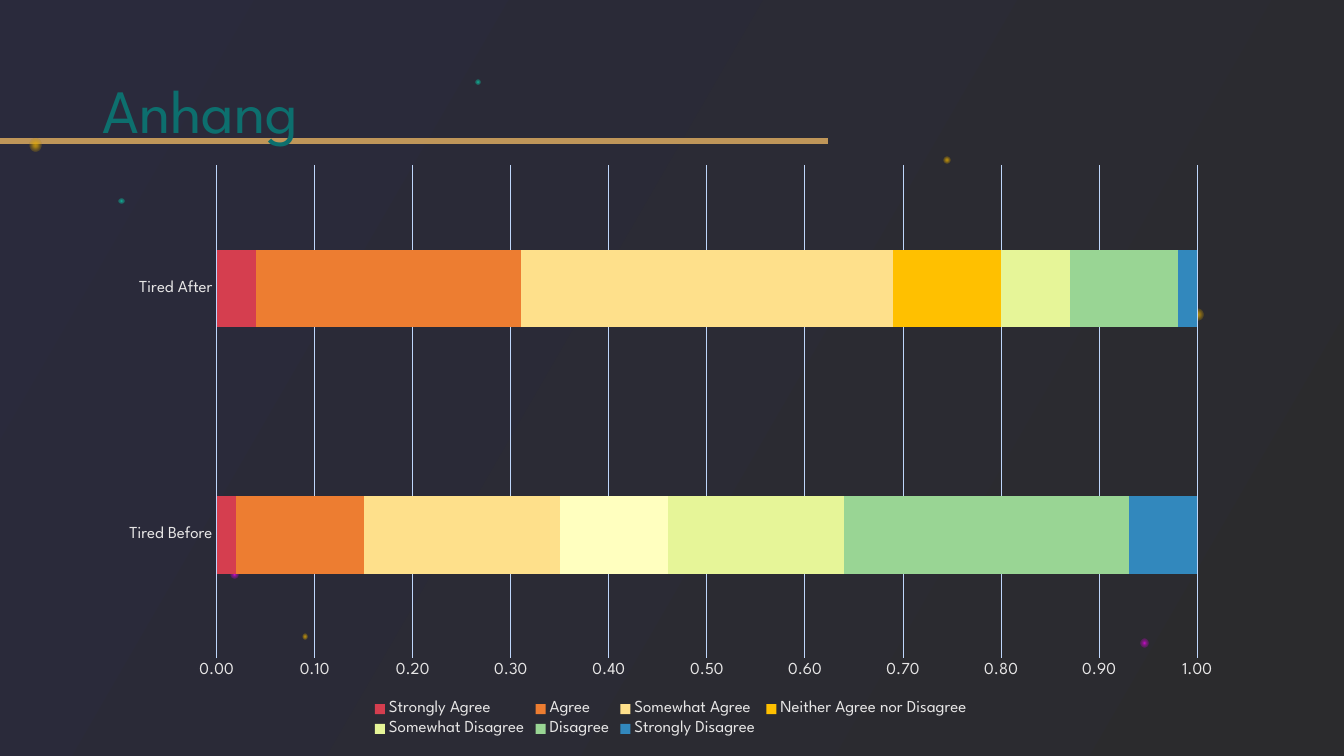
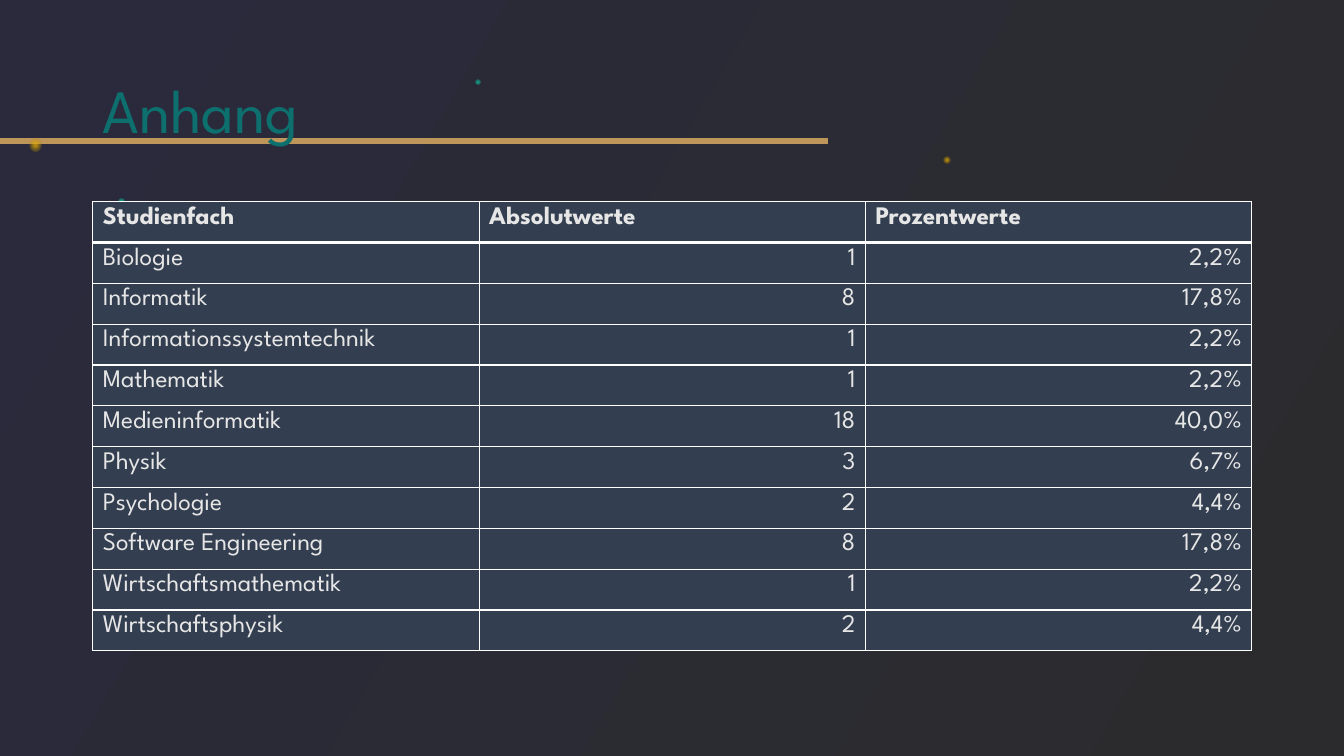
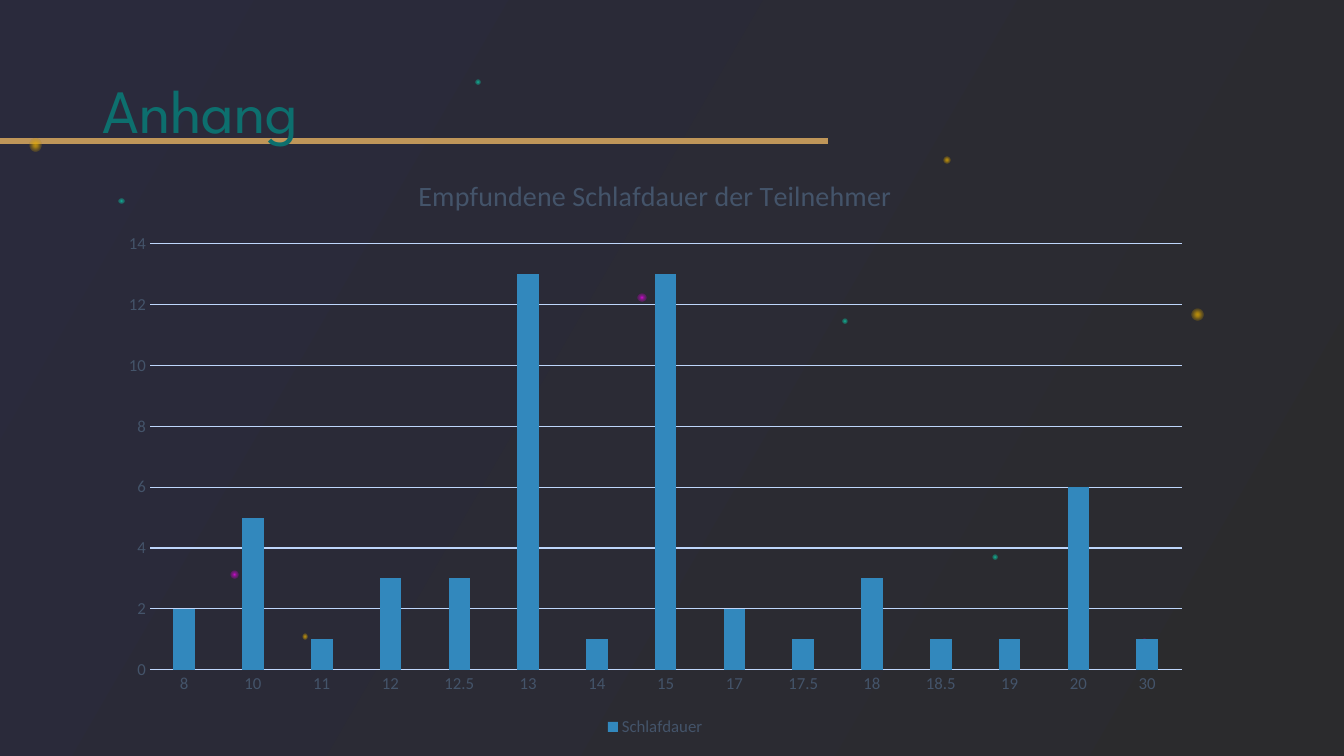
from lxml import etree
from pptx import Presentation
from pptx import util as u
from pptx.chart.data import CategoryChartData
from pptx.dml.color import RGBColor
from pptx.enum import chart as ch, shapes, text
from pptx.oxml import parse_xml
from pptx.oxml.ns import nsdecls, qn

PX = 9144
FONT, PLAIN = "League Spartan", "Calibri"
NIGHT = RGBColor(0x2A, 0x2A, 0x3C)
COAL = RGBColor(0x2B, 0x2B, 0x2D)
GOLD = RGBColor(0xBF, 0x96, 0x59)
TEAL = RGBColor(0x0D, 0x6F, 0x6E)
PALE = RGBColor(0xE7, 0xE6, 0xE6)
SLATE = RGBColor(0x44, 0x54, 0x6A)
NAVY = RGBColor(0x33, 0x3F, 0x50)
SKY = RGBColor(0xBE, 0xD6, 0xFB)
WHITE = RGBColor(0xFF, 0xFF, 0xFF)
RED = RGBColor(0xD5, 0x3E, 0x4F)
ORANGE = RGBColor(0xED, 0x7D, 0x31)
SAND = RGBColor(0xFE, 0xE0, 0x8B)
AMBER = RGBColor(0xFF, 0xC0, 0x00)
CREAM = RGBColor(0xFF, 0xFF, 0xBF)
LIME = RGBColor(0xE6, 0xF5, 0x98)
GREEN = RGBColor(0x99, 0xD5, 0x94)
BLUE = RGBColor(0x32, 0x88, 0xBD)

TITLE = "Anhang"
AMBER_GLOW = [(0, "E3AB00", 79), (23, "E3AB00", 64), (69, "BF9000", 19), (100, "B28600", 0)]
PINK_GLOW = [(0, "FF00FF", 83), (23, "FF00FF", 46), (69, "D100D1", 20), (100, "940094", 0)]
MINT_GLOW = [(0, "00FFCC", 77), (23, "00FFCC", 44), (70, "00FFCC", 19), (100, "00FFCC", 0)]
DOTS = [
    (AMBER_GLOW, [(29, 138, 12), (1182, 306, 12), (300, 629, 5), (936, 155, 7)]),
    (PINK_GLOW, [(633, 291, 8), (1131, 634, 8), (229, 566, 8)]),
    (MINT_GLOW, [(985, 550, 5), (836, 316, 5), (118, 197, 5), (472, 79, 5)]),
]

TIRED = ["Tired Before", "Tired After"]
MOODS = [
    ("Strongly Agree", [0.02, 0.04], RED),
    ("Agree", [0.13, 0.27], ORANGE),
    ("Somewhat Agree", [0.2, 0.38], SAND),
    ("Neither Agree nor Disagree", [0.11, 0.11], AMBER),
    ("Somewhat Disagree", [0.18, 0.07], LIME),
    ("Disagree", [0.29, 0.11], GREEN),
    ("Strongly Disagree", [0.07, 0.02], BLUE),
]
FIELDS = [
    ("Studienfach", "Absolutwerte", "Prozentwerte"),
    ("Biologie", "1", "2,2%"),
    ("Informatik", "8", "17,8%"),
    ("Informationssystemtechnik", "1", "2,2%"),
    ("Mathematik", "1", "2,2%"),
    ("Medieninformatik", "18", "40,0%"),
    ("Physik", "3", "6,7%"),
    ("Psychologie", "2", "4,4%"),
    ("Software Engineering", "8", "17,8%"),
    ("Wirtschaftsmathematik", "1", "2,2%"),
    ("Wirtschaftsphysik", "2", "4,4%"),
]
SLEEP_TITLE = "Empfundene Schlafdauer der Teilnehmer"
HOURS = ["8", "10", "11", "12", "12.5", "13", "14", "15",
         "17", "17.5", "18", "18.5", "19", "20", "30"]
SLEEP = [("Schlafdauer", [2, 5, 1, 3, 3, 13, 1, 13, 2, 1, 3, 1, 1, 6, 1], BLUE)]


def px(*nums):
    return [u.Emu(round(n * PX)) for n in nums]


def style(font, size, color, name=FONT, bold=False):
    font.size, font.name, font.bold = u.Pt(size), name, bold
    font.color.rgb = color


def glow(shape, stops):
    marks = "".join(
        f'<a:gs pos="{pos * 1000}"><a:srgbClr val="{color}">'
        f'<a:alpha val="{alpha * 1000}"/></a:srgbClr></a:gs>'
        for pos, color, alpha in stops)
    shape.fill.background()
    old = shape._element.spPr.find(qn("a:noFill"))
    old.getparent().replace(old, parse_xml(
        f'<a:gradFill {nsdecls("a")} rotWithShape="1"><a:gsLst>{marks}</a:gsLst>'
        '<a:path path="circle"><a:fillToRect l="50000" t="50000" r="50000" b="50000"/>'
        '</a:path></a:gradFill>'))


def add_base(deck):
    slide = deck.slides.add_slide(deck.slide_layouts[6])
    fill = slide.background.fill
    fill.gradient()
    fill.gradient_angle = 330
    for stop, color in zip(fill.gradient_stops, (NIGHT, COAL)):
        stop.color.rgb = color
    rule = slide.shapes.add_connector(shapes.MSO_CONNECTOR.STRAIGHT, *px(0, 140, 821, 140))
    rule.line.color.rgb, rule.line.width = GOLD, u.Pt(4.5)
    etree.SubElement(rule._element.spPr, qn("a:effectLst"))
    for stops, spots in DOTS:
        for left, top, size in spots:
            dot = slide.shapes.add_shape(shapes.MSO_SHAPE.OVAL, *px(left, top, size, size))
            dot.shadow.inherit = False
            dot.line.fill.background()
            glow(dot, stops)
    frame = slide.shapes.add_textbox(*px(92, 40, 1150, 145)).text_frame
    frame.word_wrap = True
    frame.vertical_anchor = text.MSO_ANCHOR.MIDDLE
    para = frame.paragraphs[0]
    para.text, para.line_spacing = TITLE, 0.9
    style(para.runs[0].font, 44, TEAL)
    return slide


def add_graph(slide, kind, box, cats, rows, overlap, color, name):
    data = CategoryChartData()
    data.categories = cats
    for label, vals, _ in rows:
        data.add_series(label, vals)
    graph = slide.shapes.add_chart(kind, *px(*box), data).chart
    graph.has_title = False
    graph.has_legend = True
    graph.legend.position = ch.XL_LEGEND_POSITION.BOTTOM
    graph.legend.include_in_layout = False
    style(graph.font, 12, color, name)
    style(graph.legend.font, 12, color, name)
    for axis in (graph.category_axis, graph.value_axis):
        axis.major_tick_mark = axis.minor_tick_mark = ch.XL_TICK_MARK.NONE
        style(axis.tick_labels.font, 12, color, name)
    graph.value_axis.has_major_gridlines = True
    graph.value_axis.format.line.fill.background()
    for part in (graph.category_axis, graph.value_axis.major_gridlines):
        part.format.line.color.rgb, part.format.line.width = SKY, u.Pt(0.75)
    plot = graph.plots[0]
    plot.gap_width, plot.overlap, plot.vary_by_categories = 219, overlap, False
    for series, (_, _, tint) in zip(plot.series, rows):
        series.format.fill.solid()
        series.format.fill.fore_color.rgb = tint
    return graph


def add_edge(cell, side, width):
    cell._tc.get_or_add_tcPr().append(parse_xml(
        f'<a:{side} {nsdecls("a")} w="{u.Pt(width)}"><a:solidFill>'
        f'<a:srgbClr val="{WHITE}"/></a:solidFill></a:{side}>'))


def add_grid(slide, rows, box):
    table = slide.shapes.add_table(len(rows), len(rows[0]), *px(*box)).table
    table.first_row = table.horz_banding = False
    for col in table.columns:
        col.width, = px(box[2] / len(rows[0]))
    for r, row in enumerate(rows):
        table.rows[r].height, = px(box[3] / len(rows))
        for c, label in enumerate(row):
            cell = table.cell(r, c)
            for side in ("lnL", "lnR", "lnT", "lnB"):
                thick = (r, side) in ((0, "lnB"), (1, "lnT"))
                add_edge(cell, side, 3 if thick else 1)
            cell.fill.solid()
            cell.fill.fore_color.rgb = NAVY
            para = cell.text_frame.paragraphs[0]
            para.text = label
            if r and c:
                para.alignment = text.PP_ALIGN.RIGHT
            style(para.runs[0].font, 18, PALE, bold=r == 0)


def main():
    deck = Presentation()
    deck.slide_width, deck.slide_height = px(1333.33, 750)

    graph = add_graph(add_base(deck), ch.XL_CHART_TYPE.BAR_STACKED, (106, 152, 1119, 583),
                      TIRED, MOODS, 100, PALE, FONT)
    graph.value_axis.maximum_scale = 1
    graph.value_axis.tick_labels.number_format = "0.00"
    graph.value_axis.tick_labels.number_format_is_linked = False
    point = graph.plots[0].series[3].points[0].format.fill
    point.solid()
    point.fore_color.rgb = CREAM

    add_grid(add_base(deck), FIELDS, (92, 200, 1150, 446))

    graph = add_graph(add_base(deck), ch.XL_CHART_TYPE.COLUMN_CLUSTERED, (106, 152, 1088, 583),
                      HOURS, SLEEP, -27, SLATE, PLAIN)
    frame = graph.chart_title.text_frame
    frame.text = SLEEP_TITLE
    style(frame.paragraphs[0].runs[0].font, 20, SLATE, PLAIN)
    graph.chart_title.include_in_layout = False

    deck.save("out.pptx")


if __name__ == "__main__":
    main()
